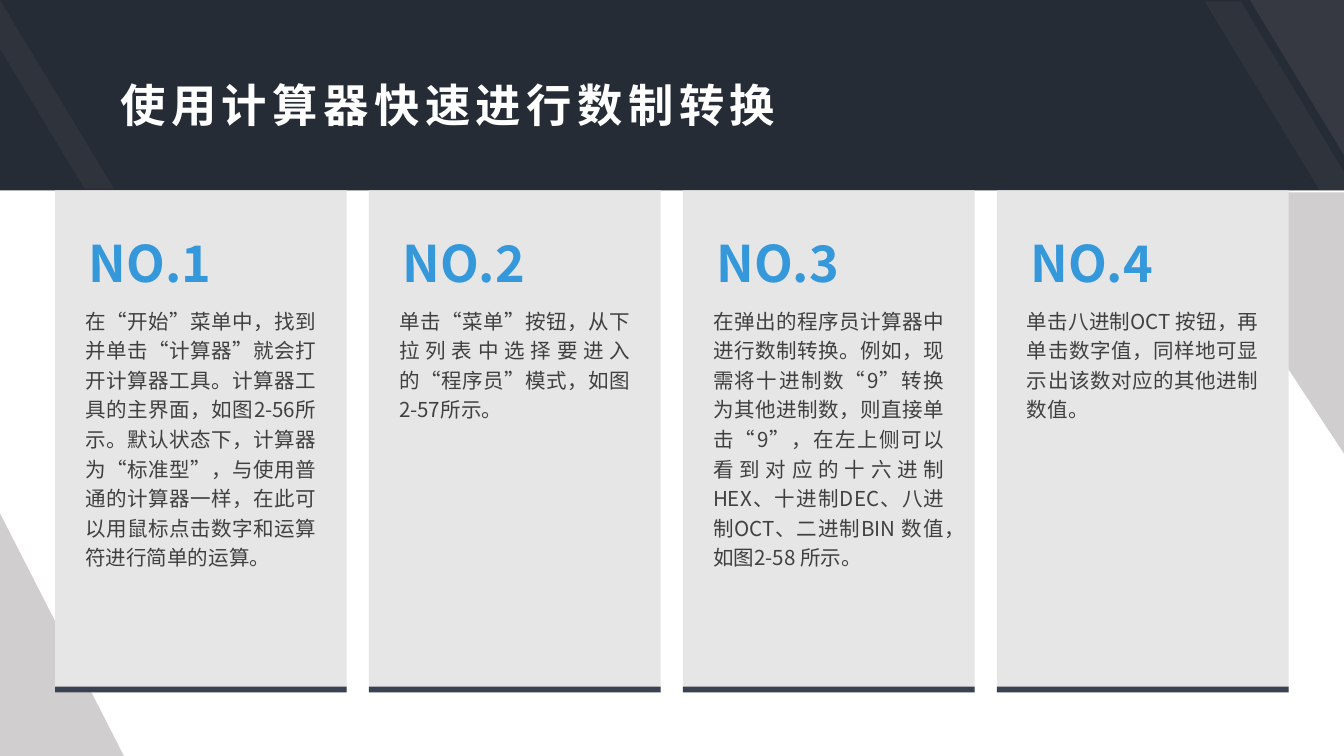
from dataclasses import dataclass

from lxml.etree import SubElement
from pptx import Presentation
from pptx.dml.color import RGBColor
from pptx.enum.lang import MSO_LANGUAGE_ID
from pptx.enum.shapes import MSO_SHAPE
from pptx.enum.text import MSO_ANCHOR, MSO_AUTO_SIZE, PP_ALIGN
from pptx.oxml.ns import qn
from pptx.util import Pt


@dataclass(frozen=True)
class Theme:
    font: str = "Noto Sans CJK SC"
    dark: str = "262C36"
    band: str = "767171"
    side: str = "D0CECE"
    card: str = "E7E6E6"
    bar: str = "3A4150"
    blue: str = "3498DB"
    text: str = "404040"
    white: str = "FFFFFF"
    title: float = 24.3
    mark: float = 27
    body: float = 11


THEME = Theme()
TITLE = "使用计算器快速进行数制转换"
STEPS = [
    ("在“开始”菜单中，找到并单击“计算器”就会打开计算器工具。计算器工具的主界面，如图2-56所示。"
     "默认状态下，计算器为“标准型”，与使用普通的计算器一样，在此可以用鼠标点击数字和运算符进行简单的运算。", 146),
    ("单击“菜单”按钮，从下拉列表中选择要进入的“程序员”模式，如图2-57所示。", 66),
    ("在弹出的程序员计算器中进行数制转换。例如，现需将十进制数“9”转换为其他进制数，则直接单击“9”，"
     "在左上侧可以看到对应的十六进制HEX、十进制DEC、八进制OCT、二进制BIN 数值，如图2-58 所示。", 146),
    ("单击八进制OCT 按钮，再单击数字值，同样地可显示出该数对应的其他进制数值。", 66),
]


def paint(shape, color, alpha=100):
    """Give a shape a flat fill with no line or shadow."""
    shape.shadow.inherit = False
    shape.line.fill.background()
    shape.fill.solid()
    shape.fill.fore_color.rgb = RGBColor.from_string(color)
    if alpha < 100:
        tint = shape.fill._xPr.find(".//" + qn("a:srgbClr"))
        SubElement(tint, qn("a:alpha")).set("val", str(alpha * 1000))


def add_block(slide, box, color, kind=MSO_SHAPE.RECTANGLE, alpha=100, turn=0):
    """Add a filled preset shape."""
    shape = slide.shapes.add_shape(kind, *map(Pt, box))
    shape.rotation = turn
    paint(shape, color, alpha)


def add_outline(slide, points, color, alpha=100):
    """Add a filled polygon through the given points."""
    first, *rest = [(Pt(x), Pt(y)) for x, y in points]
    pen = slide.shapes.build_freeform(*first, scale=1.0)
    pen.add_line_segments(rest, close=True)
    paint(pen.convert_to_shape(), color, alpha)


def add_frame(slide, box, pads=(7.2, 3.6, 7.2, 3.6)):
    """Add an empty wrapped text box and return its frame."""
    frame = slide.shapes.add_textbox(*map(Pt, box)).text_frame
    frame.word_wrap = True
    (frame.margin_left, frame.margin_top,
     frame.margin_right, frame.margin_bottom) = map(Pt, pads)
    return frame


def add_run(para, text, size, color, bold=False, space=0):
    """Add one styled run to a paragraph."""
    run = para.add_run()
    run.text = text
    font = run.font
    font.name, font.size, font.bold = THEME.font, Pt(size), bold
    font.color.rgb = RGBColor.from_string(color)
    font.language_id = MSO_LANGUAGE_ID.SIMPLIFIED_CHINESE
    props = run._r.get_or_add_rPr()
    SubElement(props, qn("a:ea")).set("typeface", THEME.font)
    if space:
        props.set("spc", str(space * 100))


def add_header(slide):
    """Draw the side wedges, the dark band and the title."""
    add_outline(slide, [(0, 405), (66.4, 405), (0, 275)], THEME.side)
    add_outline(slide, [(720, 103), (627.8, 103), (720, 243)], THEME.side)
    add_block(slide, (0, 0, 720, 102), THEME.dark)
    add_block(slide, (669.6, 0, 50.4, 83), THEME.band,
              MSO_SHAPE.RIGHT_TRIANGLE, 20, 180)
    add_outline(slide, [(645.4, 0.8), (664.8, 0.8), (720, 92.2),
                        (720, 102), (707, 102)], THEME.band, 10)
    add_outline(slide, [(61, 101), (45.2, 101), (0, 26), (0, 0)],
                THEME.band, 10)
    frame = add_frame(slide, (59.2, 37.4, 419, 36.7), (5.3, 2.7, 5.3, 2.7))
    frame.vertical_anchor = MSO_ANCHOR.MIDDLE
    add_run(frame.paragraphs[0], TITLE, THEME.title, THEME.white, True, 3)


def add_card(slide, left, mark, text, height):
    """Draw one numbered card with its text."""
    add_block(slide, (left, 102, 156.3, 269), THEME.card)
    add_block(slide, (left, 367.8, 156.3, 3.2), THEME.bar)
    frame = add_frame(slide, (left + 10.8, 121, 92, 41.8))
    add_run(frame.paragraphs[0], mark, THEME.mark, THEME.blue, True)
    frame = add_frame(slide, (left + 10.8, 162.7, 134.6, height),
                      (5.3, 0, 5.3, 2.7))
    frame.auto_size = MSO_AUTO_SIZE.SHAPE_TO_FIT_TEXT
    para = frame.paragraphs[0]
    para.alignment = PP_ALIGN.JUSTIFY
    para.line_spacing = 1.2
    para.space_after = Pt(10)
    add_run(para, text, THEME.body, THEME.text)


def main():
    """Build the slide and save it."""
    deck = Presentation()
    deck.slide_width, deck.slide_height = Pt(720), Pt(405)
    slide = deck.slides.add_slide(deck.slide_layouts[6])
    add_header(slide)
    for i, (text, height) in enumerate(STEPS):
        add_card(slide, 29.5 + i * 168.2, f"NO.{i + 1}", text, height)
    deck.save("out.pptx")


if __name__ == "__main__":
    main()
